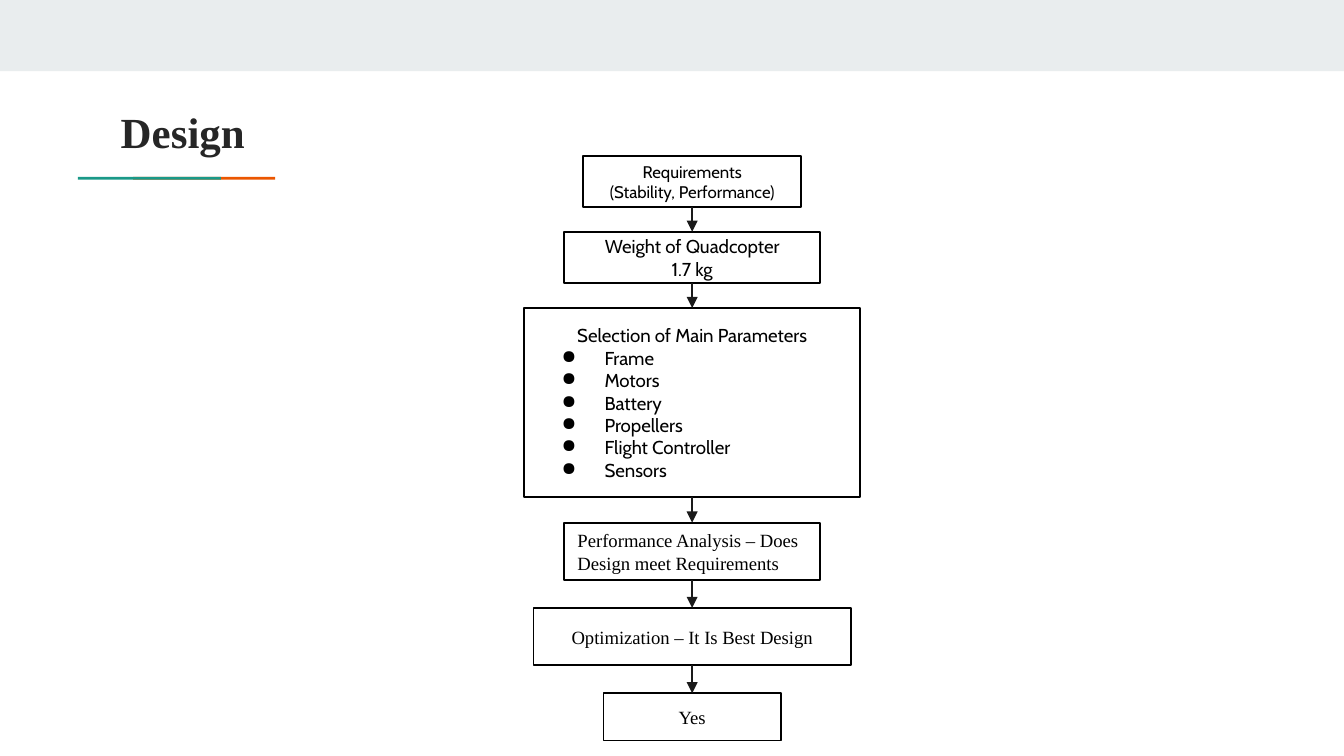
from pptx import Presentation
from pptx.util import Pt
from pptx.dml.color import RGBColor
from pptx.enum.shapes import MSO_SHAPE, MSO_CONNECTOR
from pptx.enum.text import PP_ALIGN, MSO_ANCHOR
from pptx.oxml.ns import qn
from lxml.etree import SubElement

COLORS = {"band": "E9EDEE", "teal": "1A9988", "orange": "EB5600", "title": "262626",
          "white": "FFFFFF", "black": "000000", "arrow": "1A1A1A"}
SANS, SERIF = "Cabin", "Times New Roman"
MID = 370.8  # centre line of the flow


def rgb(name):
    return RGBColor.from_string(COLORS[name])


def block(left, top, width, height, fill):
    shape = slide.shapes.add_shape(MSO_SHAPE.RECTANGLE, Pt(left), Pt(top), Pt(width), Pt(height))
    shape.shadow.inherit = False
    shape.fill.solid()
    shape.fill.fore_color.rgb = rgb(fill)
    shape.line.fill.background()
    return shape


deck = Presentation()
deck.slide_width, deck.slide_height = Pt(720), Pt(405)
slide = deck.slides.add_slide(deck.slide_layouts[6])

# Top band and two-colour rule
for bar in [(0, 0, 720, 38.2, "band"), (71.3, 94.7, 76.2, 1.5, "orange"),
            (41.8, 94.7, 76.6, 1.5, "teal")]:
    block(*bar)

# Title
frame = slide.shapes.add_textbox(Pt(57.6), Pt(52.6), Pt(605.5), Pt(42.5)).text_frame
inset = {"margin_left": Pt(7.2), "margin_top": Pt(7.2),
         "margin_right": Pt(7.2), "margin_bottom": Pt(7.2), "word_wrap": True}
for key, value in inset.items():
    setattr(frame, key, value)
para = frame.paragraphs[0]
para.text = "Design"
para.line_spacing = 0.9
for key, value in {"size": Pt(23), "name": SERIF, "bold": True}.items():
    setattr(para.font, key, value)
para.font.color.rgb = rgb("title")

# Flow boxes: top, width, height, font, size, align, lines, bullets
steps = [
    (83.4, 116.6, 27.7, SANS, 9, PP_ALIGN.CENTER,
     ["Requirements", "(Stability, Performance)"], []),
    (124.2, 137, 27.5, SANS, 10, PP_ALIGN.CENTER, ["Weight of Quadcopter", "1.7 kg"], []),
    (165, 180, 101.4, SANS, 10, PP_ALIGN.CENTER, ["Selection of Main Parameters"],
     ["Frame", "Motors", "Battery", "Propellers", "Flight Controller", "Sensors"]),
    (280, 137, 30.8, SERIF, 10, PP_ALIGN.LEFT,
     ["Performance Analysis – Does Design meet Requirements"], []),
    (325.7, 170, 30.7, SERIF, 10, PP_ALIGN.CENTER, ["Optimization – It Is Best Design"], []),
    (371.4, 95, 25.3, SERIF, 10, PP_ALIGN.CENTER, ["Yes"], []),
]
inset = {"margin_left": Pt(7.2), "margin_top": Pt(3.6), "margin_right": Pt(7.2),
         "margin_bottom": Pt(3.6), "word_wrap": True, "vertical_anchor": MSO_ANCHOR.MIDDLE}
for top, width, height, face, size, align, lines, items in steps:
    box = block(MID - width / 2, top, width, height, "white")
    box.line.color.rgb = rgb("black")
    box.line.width = Pt(1)
    frame = box.text_frame
    for key, value in inset.items():
        setattr(frame, key, value)
    for row, text in enumerate(lines + items):
        para = frame.add_paragraph() if row else frame.paragraphs[0]
        para.text = text
        para.alignment = align
        if row >= len(lines):
            para.alignment = PP_ALIGN.LEFT
            props = para._p.get_or_add_pPr()
            props.set("marL", str(Pt(36)))
            props.set("indent", str(Pt(-23)))
            SubElement(props, qn("a:buChar")).set("char", "●")
        for key, value in {"size": Pt(size), "name": face}.items():
            setattr(para.font, key, value)
        para.font.color.rgb = rgb("black")

# Arrows between neighbouring boxes
for upper, lower in zip(steps, steps[1:]):
    arrow = slide.shapes.add_connector(MSO_CONNECTOR.STRAIGHT, Pt(MID), Pt(upper[0] + upper[2]),
                                       Pt(MID), Pt(lower[0]))
    arrow.line.color.rgb = rgb("arrow")
    arrow.line.width = Pt(0.75)
    SubElement(arrow.line._get_or_add_ln(), qn("a:tailEnd")).set("type", "triangle")
    SubElement(arrow._element.spPr, qn("a:effectLst"))

deck.save("out.pptx")
